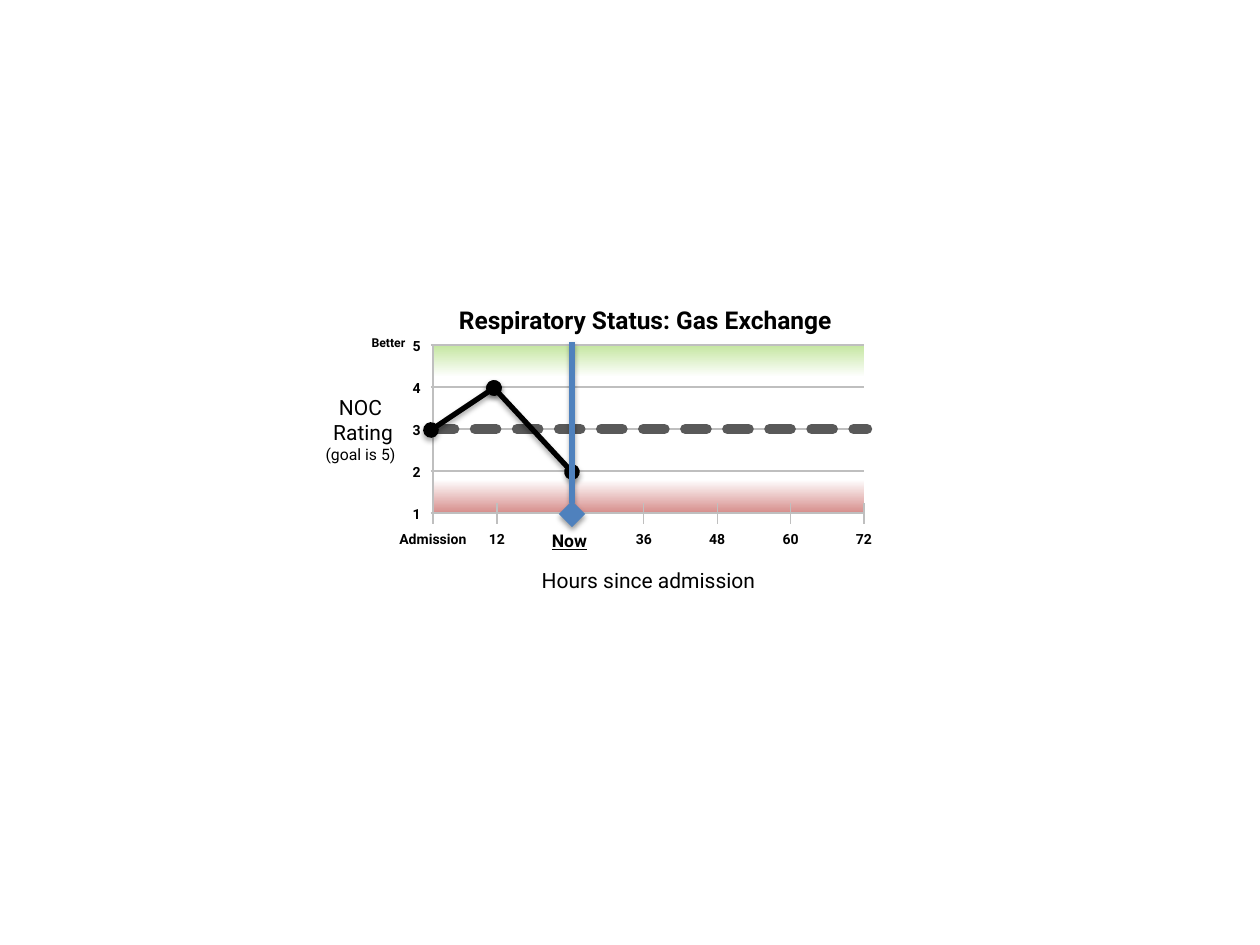
"""Build a slide charting a patient's gas exchange rating since admission."""
from lxml import etree
from pptx import Presentation
from pptx.dml.color import RGBColor
from pptx.enum import dml, shapes, text
from pptx.oxml import ns
from pptx.util import Pt

PX = 914400 / 126
COLORS = {"grid": "BFBFBF", "goal": "595959", "now": "4F81BD", "ink": "000000",
          "better": "C4E6A0", "middle": "FFFFFF", "worse": "D68D8B"}
BANDS = [(0, "better"), (19, "middle"), (80, "middle"), (100, "worse")]
FONT = "Roboto"
LEFT, RIGHT, TOP, STEP = 433, 864, 345, 42
RATINGS = [5, 4, 3, 2, 1]
BOTTOM = TOP + STEP * (len(RATINGS) - 1)
TICK_TOP, TICK_END = 503, 524
FIRST_TICK = 497
HOURS = ["12", "Now", "36", "48", "60", "72"]
TICK_GAP = (RIGHT - FIRST_TICK) / (len(HOURS) - 1)
NOW = 572
SCORES = [(431, 3), (494, 4), (NOW, 2)]
CAPTIONS = [
    ((357, 329, 63, 28), [("Better", 7)], True),
    ((408, 299, 475, 43), [("Respiratory Status: Gas Exchange", 14)], True),
    ((305, 388, 111, 83), [("NOC", 12), (" Rating", 12), ("(goal is 5)", 9)], False),
    ((431, 561, 435, 38), [("Hours since admission", 12)], False),
]

prs = Presentation()
prs.slide_width, prs.slide_height = round(1260 * PX), round(945 * PX)
s = prs.slides.add_slide(prs.slide_layouts[6])


def emu(*lengths):
    return [round(n * PX) for n in lengths]


def add(parent, tag, **attrs):
    child = etree.SubElement(parent, ns.qn("a:" + tag))
    for name, value in attrs.items():
        child.set(name, str(value))
    return child


def rating_y(rating):
    return TOP + STEP * (RATINGS[0] - rating)


def add_line(x1, y1, x2, y2, color="grid", width=0.75, dash=None, ends=(), shadow=None):
    line = s.shapes.add_connector(shapes.MSO_CONNECTOR.STRAIGHT, *emu(x1, y1, x2, y2))
    line.line.color.rgb = RGBColor.from_string(COLORS[color])
    line.line.width = Pt(width)
    ln = line.line._get_or_add_ln()
    if dash:
        line.line.dash_style = dash
        ln.set("cap", "rnd")
    for tag, (kind, size) in zip(("headEnd", "tailEnd"), ends):
        add(ln, tag, type=kind, w=size, len=size)
    effects = add(line._element.spPr, "effectLst")
    if shadow:
        alpha, distance = shadow
        outer = add(effects, "outerShdw", blurRad=Pt(3.1), dist=Pt(distance),
                    dir=5400000, rotWithShape=0)
        add(add(outer, "srgbClr", val=COLORS["ink"]), "alpha", val=alpha * 1000)


def add_text(box, lines, bold=True, align="CENTER", wrap=True, underline=None):
    tf = s.shapes.add_textbox(*emu(*box)).text_frame
    tf.word_wrap = wrap
    tf.auto_size = text.MSO_AUTO_SIZE.SHAPE_TO_FIT_TEXT
    for i, (words, size) in enumerate(lines):
        p = tf.add_paragraph() if i else tf.paragraphs[0]
        p.text = words
        p.alignment = text.PP_ALIGN[align]
        p.font.name, p.font.size = FONT, Pt(size)
        p.font.bold, p.font.underline = bold, underline
        p.font.color.rgb = RGBColor.from_string(COLORS["ink"])


def add_hour(x, words, width=44, size=8, underline=None):
    add_text((x - width / 2, TICK_END, width, 30), [(words, size)],
             wrap=False, underline=underline)


def add_plot():
    plot = s.shapes.add_shape(shapes.MSO_SHAPE.RECTANGLE,
                              *emu(LEFT, TOP, RIGHT - LEFT, BOTTOM - TOP))
    plot.shadow.inherit = False
    plot.line.fill.background()
    grad = etree.Element(ns.qn("a:gradFill"), rotWithShape="1")
    stops = add(grad, "gsLst")
    for position, color in BANDS:
        add(add(stops, "gs", pos=position * 1000), "srgbClr", val=COLORS[color])
    add(grad, "lin", ang=5400000, scaled=0)
    plot._element.spPr.find(ns.qn("a:prstGeom")).addnext(grad)


def add_axes():
    for rating in RATINGS:
        add_line(LEFT - 2, rating_y(rating), RIGHT, rating_y(rating))
        add_text((LEFT - 35, rating_y(rating) - 14, 35, 30), [(str(rating), 8)], align="RIGHT")
    add_line(LEFT, TICK_END, LEFT, TOP)
    add_hour(LEFT, "Admission", 98)
    for i, hour in enumerate(HOURS):
        x = FIRST_TICK + i * TICK_GAP
        add_line(x, TICK_END, x, TICK_TOP)
        if hour == "Now":
            add_hour(x - 1, hour, 65, 10, True)
        else:
            add_hour(x, hour)


def add_scores():
    goal = rating_y(3)
    add_line(LEFT, goal, RIGHT + 3, goal, "goal", 6, dml.MSO_LINE.SQUARE_DOT)
    ovals = [("oval", "med")] * 2
    segments = [(x1, rating_y(a) + 1, x2, rating_y(b) + 1)
                for (x1, a), (x2, b) in zip(SCORES, SCORES[1:])]
    for segment in segments:
        add_line(*segment, "ink", 3, ends=ovals, shadow=(35, 1.8))
    add_line(NOW, BOTTOM + 1, NOW, TOP - 3, "now", 3,
             ends=[("diamond", "lg")], shadow=(38, 1.6))


add_plot()
add_axes()
add_scores()
for box, lines, bold in CAPTIONS:
    add_text(box, lines, bold)
prs.save("out.pptx")
